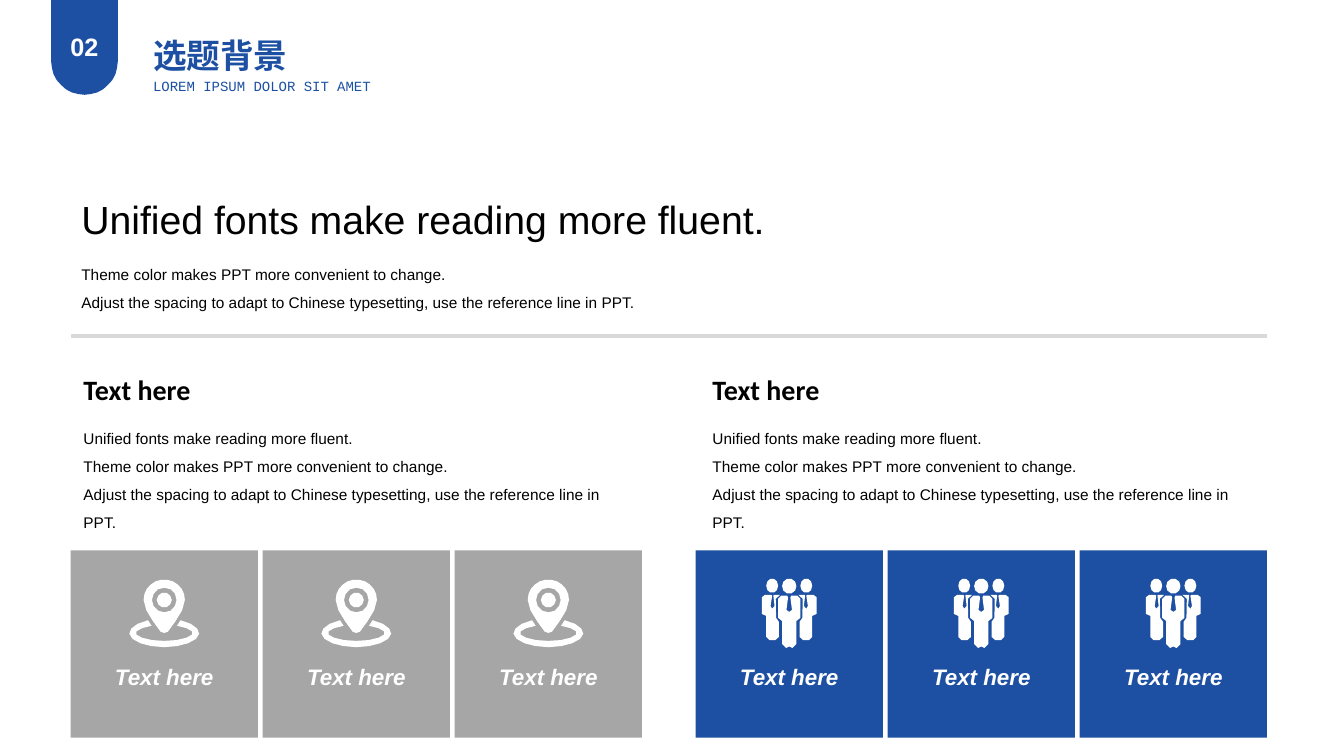
"""Build the topic background slide with two text columns and six icon tiles."""
from math import cos, radians, sin

from lxml.etree import SubElement
from pptx import Presentation
from pptx.dml.color import RGBColor
from pptx.enum.shapes import MSO_CONNECTOR, MSO_SHAPE
from pptx.enum.text import MSO_ANCHOR, MSO_AUTO_SIZE, PP_ALIGN
from pptx.oxml.ns import qn
from pptx.util import Cm, Pt

BLUE = RGBColor(0x1D, 0x50, 0xA2)
GRAY = RGBColor(0xA6, 0xA6, 0xA6)
LIGHT_GRAY = RGBColor(0xD9, 0xD9, 0xD9)
BLACK = RGBColor(0, 0, 0)
WHITE = RGBColor(255, 255, 255)

TILE_SIZE = 4.72
TILE_PITCH = 4.84
TILE_TOP = 13.87
COLUMN_WIDTH = 14.33

presentation = Presentation()
presentation.slide_width = Cm(33.87)
presentation.slide_height = Cm(19.05)
slide = presentation.slides.add_slide(presentation.slide_layouts.get_by_name("Comparison"))
shapes = slide.shapes
title, left_heading, left_body, right_heading, right_body = slide.placeholders


def arc(center_x, center_y, radius_x, radius_y, start=0, end=330, steps=11):
    """Return points along an elliptical arc."""
    angles = [radians(start + (end - start) * step / steps) for step in range(steps + 1)]
    return [(center_x + radius_x * cos(a), center_y + radius_y * sin(a)) for a in angles]


def draw_outline(contours, left, top, color):
    """Draw closed contours, given in tenths of a millimetre, as one filled shape."""
    builder = shapes.build_freeform(*contours[0][0], scale=Cm(0.01))
    builder.add_line_segments(contours[0][1:], close=True)
    for contour in contours[1:]:
        builder.move_to(*contour[0])
        builder.add_line_segments(contour[1:], close=True)
    shape = builder.convert_to_shape(Cm(left), Cm(top))
    shape.shadow.inherit = False
    shape.fill.solid()
    shape.fill.fore_color.rgb = color
    shape.line.fill.background()
    return shape


pin_side = [(45, 151), (28, 179), (9, 205)]
pin_icon = [
    arc(0, 208, 88, 36, -62, 242, 14) + arc(0, 208, 72, 20, 244, -64, 12),
    arc(0, 125, 52, 52, 180, 360) + pin_side + [(0, 208)]
    + [(-x, y) for x, y in reversed(pin_side)],
    arc(0, 125, 31, 31),
    arc(0, 125, 19, 19, 0, 324, 9),
]

front_half = [
    (0, 155), (7, 150), (3, 119), (5, 114), (20, 114), (28, 122),
    (28, 170), (18, 178), (18, 236), (8, 246), (0, 242),
]
side_body = [
    (61, 112), (46, 112), (43, 114), (47, 140), (43, 147), (37, 140), (40, 114),
    (39, 112), (23, 112), (34, 122), (33, 170), (26, 180), (26, 218), (35, 226),
    (50, 226), (58, 218), (58, 165), (69, 160), (69, 118),
]
people_icon = [
    arc(0, 90, 18, 19, 0, 324, 9),
    arc(-43, 89, 15, 18, 0, 324, 9),
    arc(43, 89, 15, 18, 0, 324, 9),
    front_half + [(-x, y) for x, y in reversed(front_half[1:-1])],
    side_body,
    [(-x, y) for x, y in side_body],
]

heading_font = {"size": Pt(20), "name": "Calibri", "bold": True}
body_font = {"size": Pt(11), "name": "Arial", "bold": False}
tile_font = {"size": Pt(16), "name": "Arial", "bold": True, "italic": True}
plain = {"alignment": PP_ALIGN.LEFT, "space_before": Pt(0)}
centered = {"alignment": PP_ALIGN.CENTER, "space_before": Pt(0)}
spaced = {"line_spacing": 1.5, **plain}
top_frame = {"vertical_anchor": MSO_ANCHOR.TOP, "word_wrap": True}
middle_frame = {"vertical_anchor": MSO_ANCHOR.MIDDLE, "word_wrap": True}
label_frame = {"vertical_anchor": MSO_ANCHOR.TOP, "word_wrap": False}
tile_frame = {"vertical_anchor": MSO_ANCHOR.BOTTOM, "word_wrap": True, "margin_bottom": Cm(1.19)}

headline_text = "Unified fonts make reading more fluent."
detail_lines = [
    "Theme color makes PPT more convenient to change.",
    "Adjust the spacing to adapt to Chinese typesetting, use the reference line in PPT.",
]
texts = []

for group_left, tile_color, icon in [(1.78, GRAY, pin_icon), (17.53, BLUE, people_icon)]:
    for column in range(3):
        tile_left = group_left + column * TILE_PITCH
        tile = shapes.add_shape(
            MSO_SHAPE.RECTANGLE, Cm(tile_left), Cm(TILE_TOP), Cm(TILE_SIZE), Cm(TILE_SIZE))
        tile.shadow.inherit = False
        tile.fill.solid()
        tile.fill.fore_color.rgb = tile_color
        tile.line.fill.background()
        texts.append((tile, ["Text here"], tile_font, WHITE, centered, tile_frame))
        draw_outline(icon, tile_left + TILE_SIZE / 2, TILE_TOP, WHITE)

divider = shapes.add_connector(MSO_CONNECTOR.STRAIGHT, Cm(1.78), Cm(8.46), Cm(31.93), Cm(8.46))
divider.line.color.rgb = LIGHT_GRAY
divider.line.width = Pt(3)
SubElement(divider._element.spPr, qn("a:effectLst"))

badge_outline = [(-84, -5), (84, -5)] + arc(0, 155, 84, 84, 0, 180, 16)
badge = draw_outline([badge_outline], 2.13, 0, BLUE)
headline = shapes.add_textbox(Cm(1.8), Cm(4.7), Cm(30.12), Cm(1.63))
details = shapes.add_textbox(Cm(1.8), Cm(6.32), Cm(30.12), Cm(1.65))
subtitle = shapes.add_textbox(Cm(3.61), Cm(1.83), Cm(6.1), Cm(0.69))

for placeholder, left, top, width, height in [
    (title, 3.58, 0.76, 3.94, 1.27),
    (left_heading, 1.85, 9.25, COLUMN_WIDTH, 1.22),
    (left_body, 1.85, 10.46, COLUMN_WIDTH, 3.07),
    (right_heading, 17.7, 9.25, COLUMN_WIDTH, 1.22),
    (right_body, 17.7, 10.46, COLUMN_WIDTH, 3.07),
]:
    placeholder.left, placeholder.top = Cm(left), Cm(top)
    placeholder.width, placeholder.height = Cm(width), Cm(height)

texts += [
    (badge, ["02"], {"size": Pt(18), "name": "Arial", "bold": True}, WHITE, centered, middle_frame),
    (title, ["选题背景"], {"size": Pt(24), "name": "Arial", "bold": True}, BLUE, centered, label_frame),
    (subtitle, ["LOREM IPSUM DOLOR SIT AMET"], {"size": Pt(10), "name": "Courier New"}, BLUE,
     plain, label_frame),
    (headline, [headline_text], {"size": Pt(28), "name": "Arial"}, BLACK, plain, middle_frame),
    (details, detail_lines, body_font, BLACK, spaced, top_frame),
]
for heading, body in [(left_heading, left_body), (right_heading, right_body)]:
    texts.append((heading, ["Text here"], heading_font, BLACK, plain, top_frame))
    texts.append((body, [headline_text] + detail_lines, body_font, BLACK, spaced, top_frame))

for shape, lines, font_format, color, paragraph_format, frame_format in texts:
    frame = shape.text_frame
    frame.text = "\n".join(lines)
    frame.auto_size = MSO_AUTO_SIZE.NONE
    for name, value in frame_format.items():
        setattr(frame, name, value)
    for paragraph in frame.paragraphs:
        for name, value in paragraph_format.items():
            setattr(paragraph, name, value)
        font = paragraph.runs[0].font
        for name, value in font_format.items():
            setattr(font, name, value)
        font.color.rgb = color

for body in (left_body, right_body):
    for paragraph in body.text_frame.paragraphs:
        properties = paragraph._p.get_or_add_pPr()
        properties.set("marL", "0")
        properties.set("indent", "0")
        SubElement(properties, qn("a:buNone"))

presentation.save("out.pptx")
